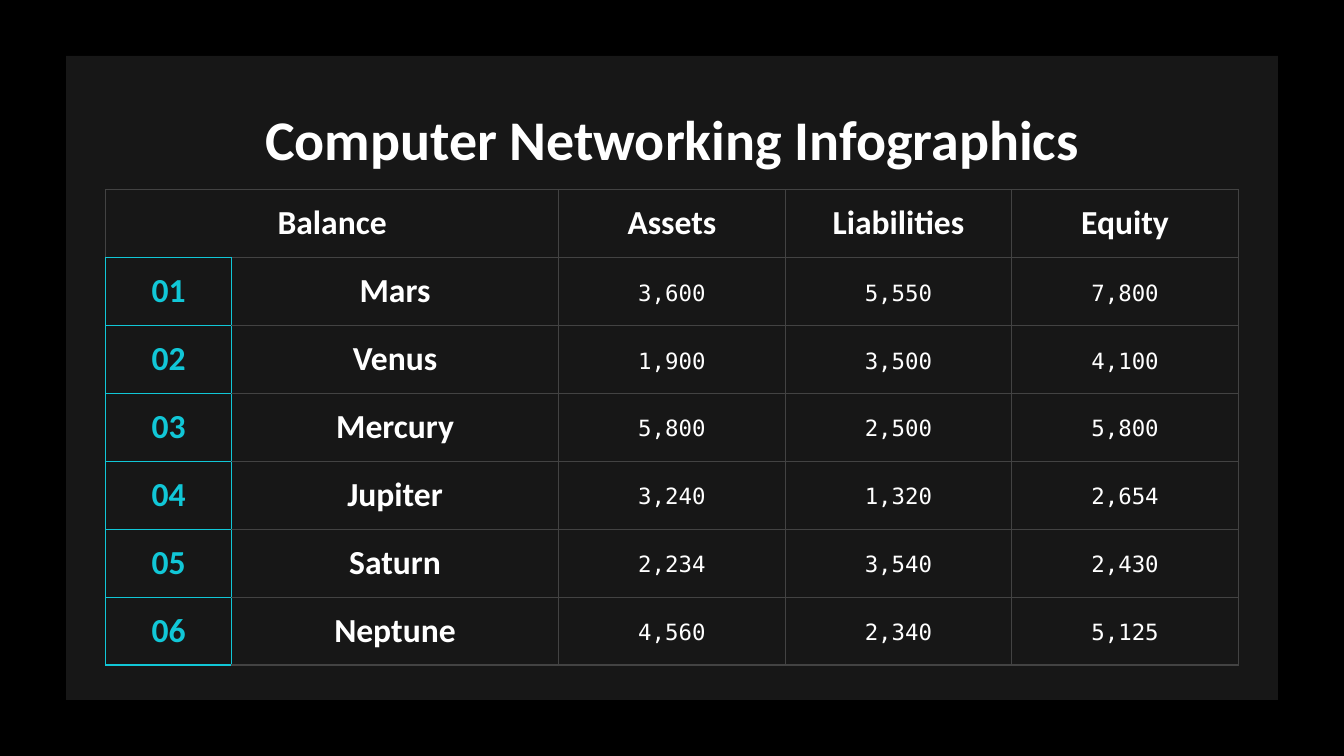
from dataclasses import dataclass

from lxml.etree import SubElement
from pptx import Presentation
from pptx.dml.color import RGBColor
from pptx.enum.shapes import MSO_SHAPE as Shape
from pptx.enum.text import MSO_ANCHOR as Anchor, PP_ALIGN as Align
from pptx.oxml.ns import qn
from pptx.util import Pt


@dataclass(frozen=True)
class Theme:
    back: str = "000000"
    panel: str = "171717"
    text: str = "FFFFFF"
    accent: str = "11C7D7"
    grid: str = "434343"
    head_font: str = "Calibri"
    number_font: str = "DejaVu Sans Mono"
    title_size: float = 30
    head_size: float = 18
    number_size: float = 12
    line: float = 0.75
    inset: float = 7.2


HEADINGS = ["Balance", "", "Assets", "Liabilities", "Equity"]
PLANETS = [
    ("Mars", "3,600", "5,550", "7,800"),
    ("Venus", "1,900", "3,500", "4,100"),
    ("Mercury", "5,800", "2,500", "5,800"),
    ("Jupiter", "3,240", "1,320", "2,654"),
    ("Saturn", "2,234", "3,540", "2,430"),
    ("Neptune", "4,560", "2,340", "5,125"),
]
COLUMN_WIDTHS = [67.3, 175.3, 121.4, 121.4, 121.4]
ROW_HEIGHT = 36.4


def write(frame, text, *, size, font, color, bold=True, spacing=None, after=None):
    para = frame.paragraphs[0]
    para.alignment = Align.CENTER
    if spacing is not None:
        para.line_spacing = spacing
    if after is not None:
        para.space_after = Pt(after)
    span = para.add_run()
    span.text = text
    span.font.size = Pt(size)
    span.font.name = font
    span.font.bold = bold
    span.font.color.rgb = RGBColor.from_string(color)


def set_borders(cell, width, **colors):
    """Draw the cell's edges; colors are keyed L, R, T and B."""
    properties = cell._tc.get_or_add_tcPr()
    for side in "LRTB":
        line = SubElement(properties, qn(f"a:ln{side}"), w=str(Pt(width)))
        fill = SubElement(line, qn("a:solidFill"))
        SubElement(fill, qn("a:srgbClr"), val=colors[side])


class SlideBuilder:
    def __init__(self, page, theme):
        self.page = page
        self.theme = theme
        fill = page.background.fill
        fill.solid()
        fill.fore_color.rgb = RGBColor.from_string(theme.back)

    def panel(self, left, top, width, height):
        shape = self.page.shapes.add_shape(
            Shape.RECTANGLE, Pt(left), Pt(top), Pt(width), Pt(height))
        shape.shadow.inherit = False
        shape.fill.solid()
        shape.fill.fore_color.rgb = RGBColor.from_string(self.theme.panel)
        shape.line.fill.background()

    def title(self, text, left, top, width, height):
        box = self.page.shapes.add_textbox(Pt(left), Pt(top), Pt(width), Pt(height))
        frame = box.text_frame
        frame.word_wrap = True
        frame.margin_top = Pt(9)
        write(frame, text, size=self.theme.title_size,
              font=self.theme.head_font, color=self.theme.text)

    def cell(self, cell, text, row, column):
        theme = self.theme
        is_index = row > 0 and column == 0
        cell.vertical_anchor = Anchor.MIDDLE
        cell.margin_left = cell.margin_right = Pt(theme.inset)
        cell.margin_top = cell.margin_bottom = Pt(theme.inset)

        edges = dict.fromkeys("LRTB", theme.accent if is_index else theme.grid)
        if row == 0 and column == 0:
            edges["B"] = theme.accent
        elif row > 0 and column == 1:
            edges["L"] = theme.accent
        set_borders(cell, theme.line, **edges)
        cell.fill.background()

        if not text:
            return
        if row > 0 and column > 1:
            write(cell.text_frame, text, size=theme.number_size,
                  font=theme.number_font, color=theme.text,
                  bold=False, spacing=1.15, after=12)
        else:
            write(cell.text_frame, text, size=theme.head_size, font=theme.head_font,
                  color=theme.accent if is_index else theme.text)

    def table(self, rows, left, top):
        height = ROW_HEIGHT * len(rows)
        table = self.page.shapes.add_table(
            len(rows), len(COLUMN_WIDTHS), Pt(left), Pt(top),
            Pt(sum(COLUMN_WIDTHS)), Pt(height)).table
        table.first_row = table.horz_banding = False
        for column, width in zip(table.columns, COLUMN_WIDTHS):
            column.width = Pt(width)
        for row in table.rows:
            row.height = Pt(ROW_HEIGHT)
        table.cell(0, 0).merge(table.cell(0, 1))
        for r, texts in enumerate(rows):
            for c, text in enumerate(texts):
                self.cell(table.cell(r, c), text, r, c)


def main():
    deck = Presentation()
    deck.slide_width, deck.slide_height = Pt(720), Pt(405)
    page = deck.slides.add_slide(deck.slide_layouts[6])
    builder = SlideBuilder(page, Theme())
    builder.panel(35.4, 30, 649.2, 345)
    builder.title("Computer Networking Infographics", 56.7, 46.8, 607, 45.4)
    rows = [HEADINGS] + [(f"{number:02}", *planet)
                         for number, planet in enumerate(PLANETS, 1)]
    builder.table(rows, 56.7, 101.5)
    deck.save("out.pptx")


if __name__ == "__main__":
    main()
